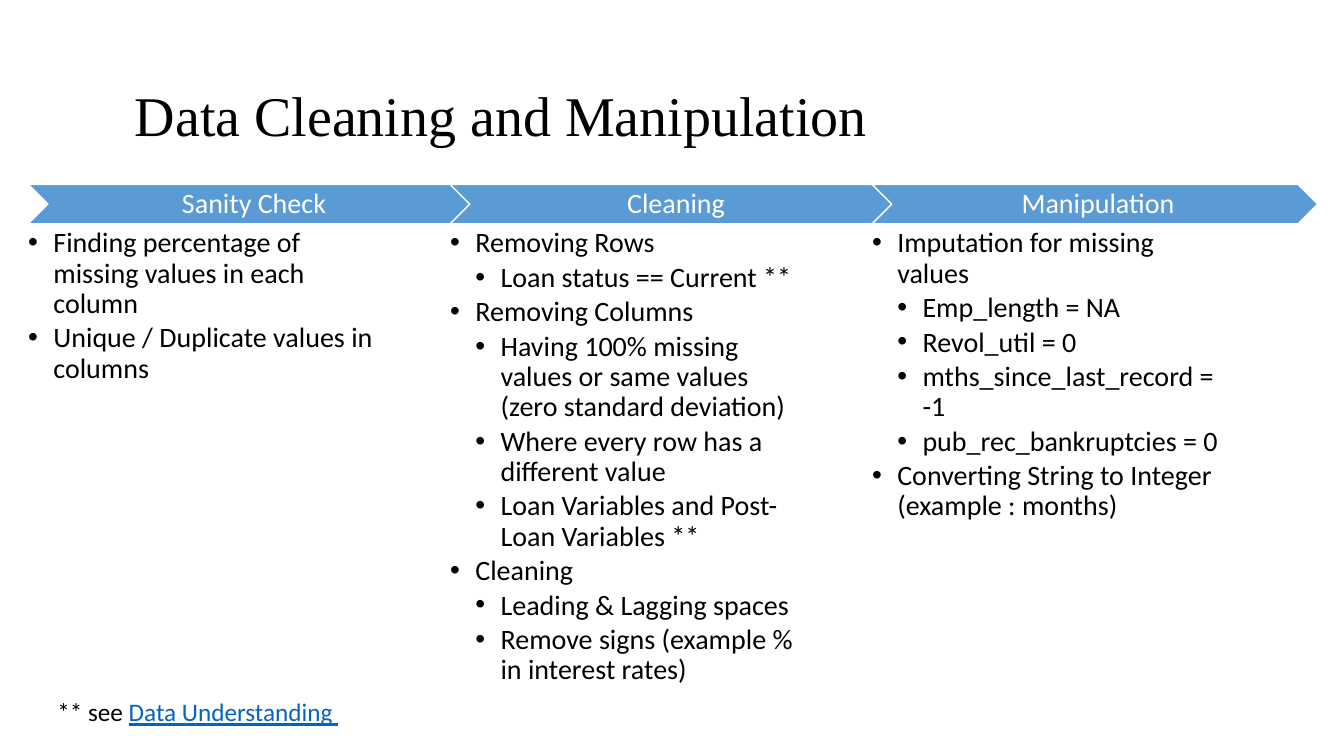
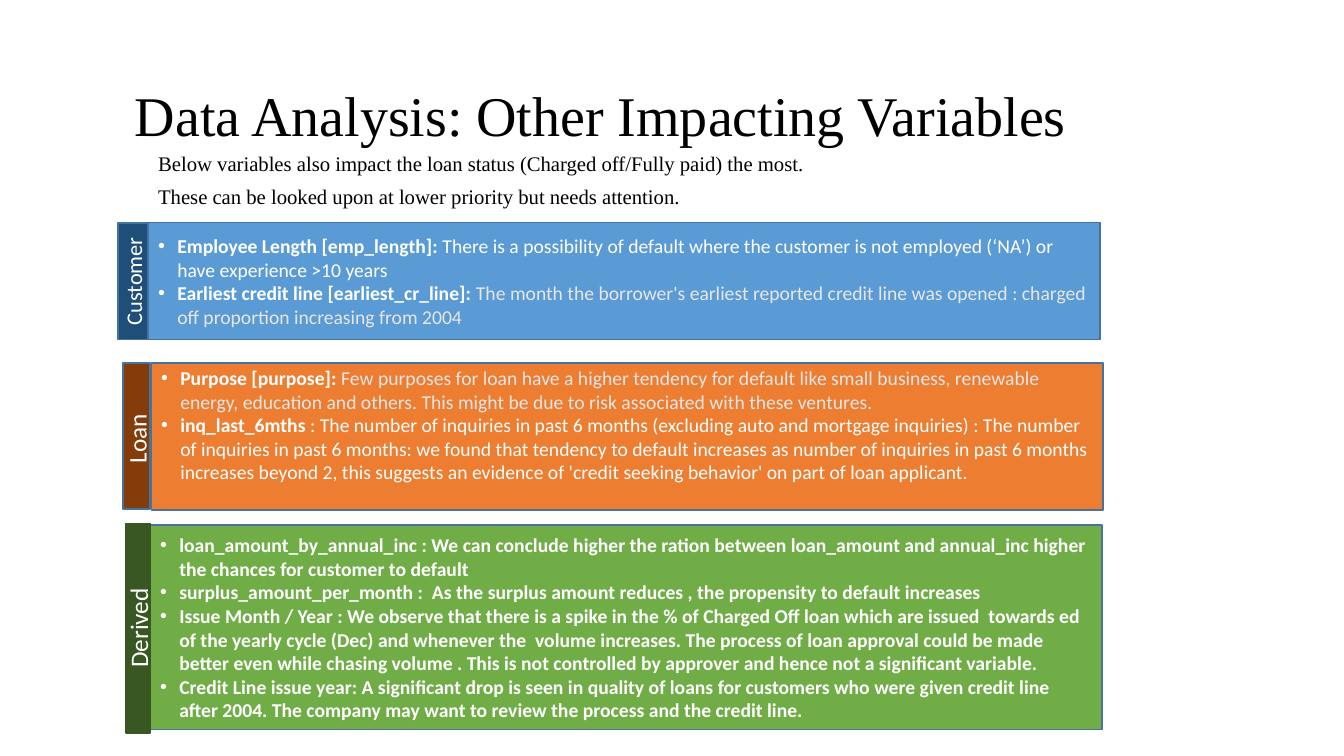
"""Build two slides on loan data: cleaning steps and further variables."""
from lxml import etree
from pptx import Presentation, util as u
from pptx.dml.color import RGBColor
from pptx.enum import shapes, text
from pptx.oxml.ns import qn

HUES = {
    "ink": "000000", "white": "FFFFFF", "pale": "E7E6E6", "link": "0563C1",
    "blue": "5B9BD5", "navy": "1F4E79", "edge": "43739E",
    "orange": "ED7D31", "brown": "843C0B",
    "green": "70AD47", "moss": "385723",
}
SANS, SERIF = "Calibri", "Times New Roman"
MID, MITRE = text.MSO_ANCHOR.MIDDLE, text.PP_ALIGN.CENTER


class Deck:
    """Style and current slide, placed on a grid of tenths of an inch."""

    def __init__(self):
        """Open a wide deck."""
        self.prs = Presentation()
        self.prs.slide_width, self.prs.slide_height = u.Inches(13.33), u.Inches(7.5)

    def grid(self, *cells):
        """Turn grid cells into lengths."""
        return [u.Inches(n / 10) for n in cells]

    def hue(self, name):
        """Give a colour by its name."""
        return RGBColor.from_string(HUES[name])

    def page(self, title):
        """Start a slide with its title."""
        self.slide = self.prs.slides.add_slide(self.prs.slide_layouts[6])
        self.note((12.4, 7, 101.9, 9.4), [title], size=40, font=SERIF, line=0.9, mid=True)

    def fill(self, shape, paras, size, hue="ink", font=SANS, bold=False, align=None,
             line=None, before=None, after=None, hang=0, mid=False, pads=(1, 0.5, 1, 0.5)):
        """Write paragraphs, each a string, a (level, string) pair or a list of runs."""
        frame = shape.text_frame
        frame.word_wrap = True
        frame.vertical_anchor = MID if mid else text.MSO_ANCHOR.TOP
        (frame.margin_left, frame.margin_top,
         frame.margin_right, frame.margin_bottom) = self.grid(*pads)
        for i, item in enumerate(paras):
            para = frame.add_paragraph() if i else frame.paragraphs[0]
            level, body = item if isinstance(item, tuple) else (0, item)
            para.alignment, para.line_spacing = align, line
            if before:
                para.space_before = u.Pt(before)
            if after:
                para.space_after = u.Pt(after)
            if hang:
                self.bullet(para, level, hang)
            for words, *marks in [(body,)] if isinstance(body, str) else body:
                run = para.add_run()
                run.text = words
                face = run.font
                face.name, face.size = font, u.Pt(size)
                face.bold = bold or "bold" in marks
                face.underline = "link" in marks
                tone = next((m for m in marks if m in HUES), hue)
                face.color.rgb = self.hue(tone)

    def bullet(self, para, level, hang):
        """Hang a dot before a paragraph."""
        props = para._p.get_or_add_pPr()
        step = self.grid(hang)[0]
        props.set("marL", str(step * (level + 1)))
        props.set("indent", str(-step))
        etree.SubElement(props, qn("a:buFont")).set("typeface", "Arial")
        etree.SubElement(props, qn("a:buChar")).set("char", "•")

    def note(self, box, paras, **style):
        """Add plain text."""
        self.fill(self.slide.shapes.add_textbox(*self.grid(*box)), paras, **style)

    def block(self, kind, box, fill, edge, paras, **style):
        """Add a filled shape with white text."""
        shape = self.slide.shapes.add_shape(kind, *self.grid(*box))
        shape.shadow.inherit = False
        shape.fill.solid()
        shape.fill.fore_color.rgb = self.hue(fill)
        shape.line.color.rgb = self.hue(edge)
        shape.line.width = u.Pt(1)
        self.fill(shape, paras, hue="white", mid=True, **style)
        return shape

    def step(self, i, head, items):
        """Add a chevron with its list below."""
        left = 2.8 + 41.85 * i
        self.block(shapes.MSO_SHAPE.CHEVRON, (left, 18.3, 44.2, 3.9), "blue", "white",
                   [head], size=20, align=MITRE, line=0.9, pads=(0.9, 0.3, 0.3, 0.3))
        self.note((left, 22.7, 35.4, 28.6), items, size=20, line=0.9, after=3,
                  hang=2.5, pads=(0, 0, 0, 0))

    def panel(self, box, fill, paras, foot=0.5, bold=False):
        """Add a wide box of bulleted findings."""
        self.block(shapes.MSO_SHAPE.RECTANGLE, box, fill, "edge", paras, size=14,
                   bold=bold, hang=1.9, pads=(1, 0.5, 1, foot))

    def tag(self, box, fill, edge, name, size):
        """Add an upright label, given by the box it shows in."""
        left, top, wide, high = box
        turned = (left + (wide - high) / 2, top + (high - wide) / 2, high, wide)
        shape = self.block(shapes.MSO_SHAPE.RECTANGLE, turned, fill, edge, [name],
                           size=size, align=MITRE)
        shape.rotation = 270


STEPS = {
    "Sanity Check": [
        "Finding percentage of missing values in each column",
        "Unique / Duplicate values in columns",
    ],
    "Cleaning": [
        "Removing Rows",
        (1, "Loan status == Current **"),
        "Removing Columns",
        (1, "Having 100% missing values or same values (zero standard deviation)"),
        (1, "Where every row has a different value"),
        (1, "Loan Variables and Post-Loan Variables **"),
        "Cleaning",
        (1, "Leading & Lagging spaces"),
        (1, "Remove signs (example % in interest rates)"),
    ],
    "Manipulation": [
        "Imputation for missing values",
        (1, "Emp_length = NA"),
        (1, "Revol_util = 0"),
        (1, "mths_since_last_record = -1"),
        (1, "pub_rec_bankruptcies = 0"),
        "Converting String to Integer (example : months)",
    ],
}
CLIENT = [
    [("Employee Length [emp_length]: ", "bold"),
     ("There is a possibility of default where the customer is not employed (‘NA’) "
      "or have experience >10 years",)],
    [("Earliest credit line [earliest_cr_line]: ", "bold"),
     ("The month the borrower's earliest reported credit line was opened : "
      "charged off proportion increasing from 2004", "pale")],
]
LOAN = [
    [("Purpose [purpose]: ", "bold"),
     ("Few purposes for loan have a higher tendency for default like small business, "
      "renewable energy, education and others. This might be due to risk associated "
      "with these ventures.", "pale")],
    [("inq_last_6mths ", "bold"),
     (": The number of inquiries in past 6 months (excluding auto and mortgage "
      "inquiries) : The number of inquiries in past 6 months: we found that tendency "
      "to default increases as number of inquiries in past 6 months increases beyond 2, "
      "this suggests an evidence of 'credit seeking behavior' on part of loan "
      "applicant.",)],
]
DERIVED = [
    "loan_amount_by_annual_inc : We can conclude higher the ration between loan_amount "
    "and annual_inc higher the chances for customer to default",
    "surplus_amount_per_month :  As the surplus amount reduces , the propensity to "
    "default increases",
    "Issue Month / Year : We observe that there is a spike in the % of Charged Off loan "
    "which are issued  towards ed of the yearly cycle (Dec) and whenever the  volume "
    "increases. The process of loan approval could be made better even while chasing "
    "volume . This is not controlled by approver and hence not a significant variable.",
    "Credit Line issue year: A significant drop is seen in quality of loans for "
    "customers who were given credit line after 2004. The company may want to review "
    "the process and the credit line.",
]


def main():
    """Draw both slides and save them."""
    deck = Deck()

    deck.page("Data Cleaning and Manipulation")
    for i, (head, items) in enumerate(STEPS.items()):
        deck.step(i, head, items)
    deck.note((4.7, 68.6, 39.7, 4), [[("** see ",), ("Data Understanding ", "link")]], size=18)

    deck.page("Data Analysis: Other Impacting Variables")
    deck.note((14.7, 14.9, 94.4, 6.4), [
        "Below variables also impact the loan status (Charged off/Fully paid) the most.",
        "These can be looked upon at lower priority but needs attention.",
    ], size=14.8, font=SERIF, line=0.8, before=10)
    deck.panel((14.7, 22.1, 94.4, 11.6), "blue", CLIENT)
    deck.tag((11.7, 22.1, 3, 11.6), "navy", "edge", "Customer", 16)
    deck.panel((15, 36, 94.4, 14.6), "orange", LOAN, foot=2.8)
    deck.tag((12.2, 36, 2.7, 14.5), "brown", "edge", "Loan ", 18)
    deck.panel((14.9, 52.1, 94.4, 20.3), "green", DERIVED, bold=True)
    deck.tag((12.5, 51.9, 2.4, 20.8), "moss", "moss", "Derived", 18)

    deck.prs.save("out.pptx")


if __name__ == "__main__":
    main()
